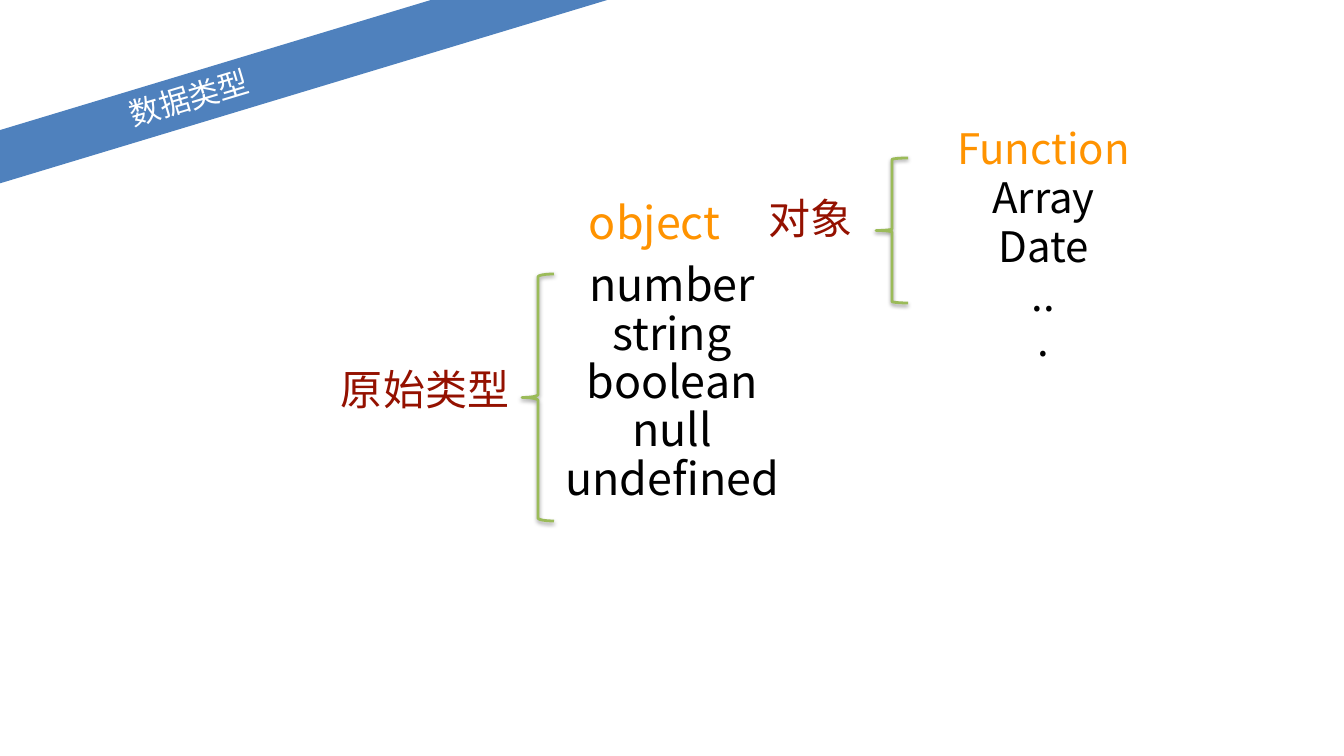
from lxml import etree
from pptx import Presentation
from pptx.dml.color import RGBColor
from pptx.enum.shapes import MSO_SHAPE
from pptx.enum.text import MSO_ANCHOR, PP_ALIGN
from pptx.oxml import parse_xml
from pptx.oxml.ns import nsdecls, qn
from pptx.util import Pt

PX = 914400 / 50.4
FONT = "Noto Sans CJK SC"
BLACK = RGBColor(0x00, 0x00, 0x00)
WHITE = RGBColor(0xFF, 0xFF, 0xFF)
RED = RGBColor(0x94, 0x11, 0x00)
ORANGE = RGBColor(0xFF, 0x93, 0x00)
BLUE = RGBColor(0x4F, 0x81, 0xBD)
GREEN = RGBColor(0x9B, 0xBB, 0x59)
RECTANGLE = MSO_SHAPE.RECTANGLE
LEFT_BRACE = MSO_SHAPE.LEFT_BRACE
CENTER = PP_ALIGN.CENTER
TOP = MSO_ANCHOR.TOP
MIDDLE = MSO_ANCHOR.MIDDLE
SHADOW = (
    f'<a:effectLst {nsdecls("a")}><a:outerShdw blurRad="76200" dist="38100" '
    'dir="5400000" rotWithShape="0"><a:srgbClr val="000000">'
    '<a:alpha val="38000"/></a:srgbClr></a:outerShdw></a:effectLst>'
)


def emu(*lengths):
    return [round(n * PX) for n in lengths]


def write(sp, lines, size, color, inset=5, wrap=True, anchor=TOP):
    tf = sp.text_frame
    tf.word_wrap = wrap
    tf.vertical_anchor = anchor
    margin = emu(inset)[0]
    tf.margin_left = tf.margin_right = margin
    tf.margin_top = tf.margin_bottom = margin
    tf.text = "\n".join(lines)
    for p in tf.paragraphs:
        p.alignment = CENTER
        p.line_spacing = 0.9
        for r in p.runs:
            r.font.size = Pt(size)
            r.font.name = FONT
            r.font.color.rgb = color
            ea = etree.SubElement(r.font._element, qn("a:ea"))
            ea.set("typeface", FONT)


def add_text(s, box, lines, size, color, **layout):
    write(s.shapes.add_textbox(*emu(*box)), lines, size, color, **layout)


def add_brace(s, box, curve):
    sp = s.shapes.add_shape(LEFT_BRACE, *emu(*box))
    sp.adjustments[0] = curve
    sp.fill.background()
    sp.line.color.rgb = GREEN
    sp.line.width = Pt(4)
    sp._element.spPr.append(parse_xml(SHADOW))


def add_title_band(s, x, y, w, h):
    sp = s.shapes.add_shape(RECTANGLE, *emu(x, y, w, h))
    sp.rotation = 343.2
    sp.shadow.inherit = False
    sp.fill.solid()
    sp.fill.fore_color.rgb = BLUE
    sp.line.fill.background()
    write(sp, ["数据类型"], 43.8, WHITE, inset=0, anchor=MIDDLE)


def add_primitives(s, x, y, w, h):
    names = ["number", "string", "boolean", "null", "undefined"]
    add_text(s, (x + w - 234, y, 234, h), names, 64, BLACK)
    add_brace(s, (x + 191, y + 16, 32, 247), 0.09)
    add_text(s, (x, y + 106, 188, 66), ["原始类型"], 60, RED)


def add_objects(s, x, y, w, h):
    add_text(s, (x, y + 73, 145, 70), ["object"], 64, ORANGE, wrap=False)
    add_text(s, (x + 134, y + 75, 188, 66), ["对象"], 60, RED, inset=0)
    add_brace(s, (x + 294, y + 35, 32, 145), 0.05)
    kinds = [
        ("Function", 185, ORANGE, False),
        ("Array", 118, BLACK, False),
        ("Date", 105, BLACK, False),
        ("...", 41, BLACK, True),
    ]
    center = x + w - 185 / 2
    for i, (name, width, color, wrap) in enumerate(kinds):
        box = (center - width / 2, y + 49 * i, width, 66)
        add_text(s, box, [name], 60, color, wrap=wrap)


prs = Presentation()
prs.slide_width, prs.slide_height = emu(1344, 756)
s = prs.slides.add_slide(prs.slide_layouts[6])
add_primitives(s, 331, 258, 458, 284)
add_title_band(s, -269, 74, 917, 51)
add_objects(s, 582, 123, 554, 213)
prs.save("out.pptx")
